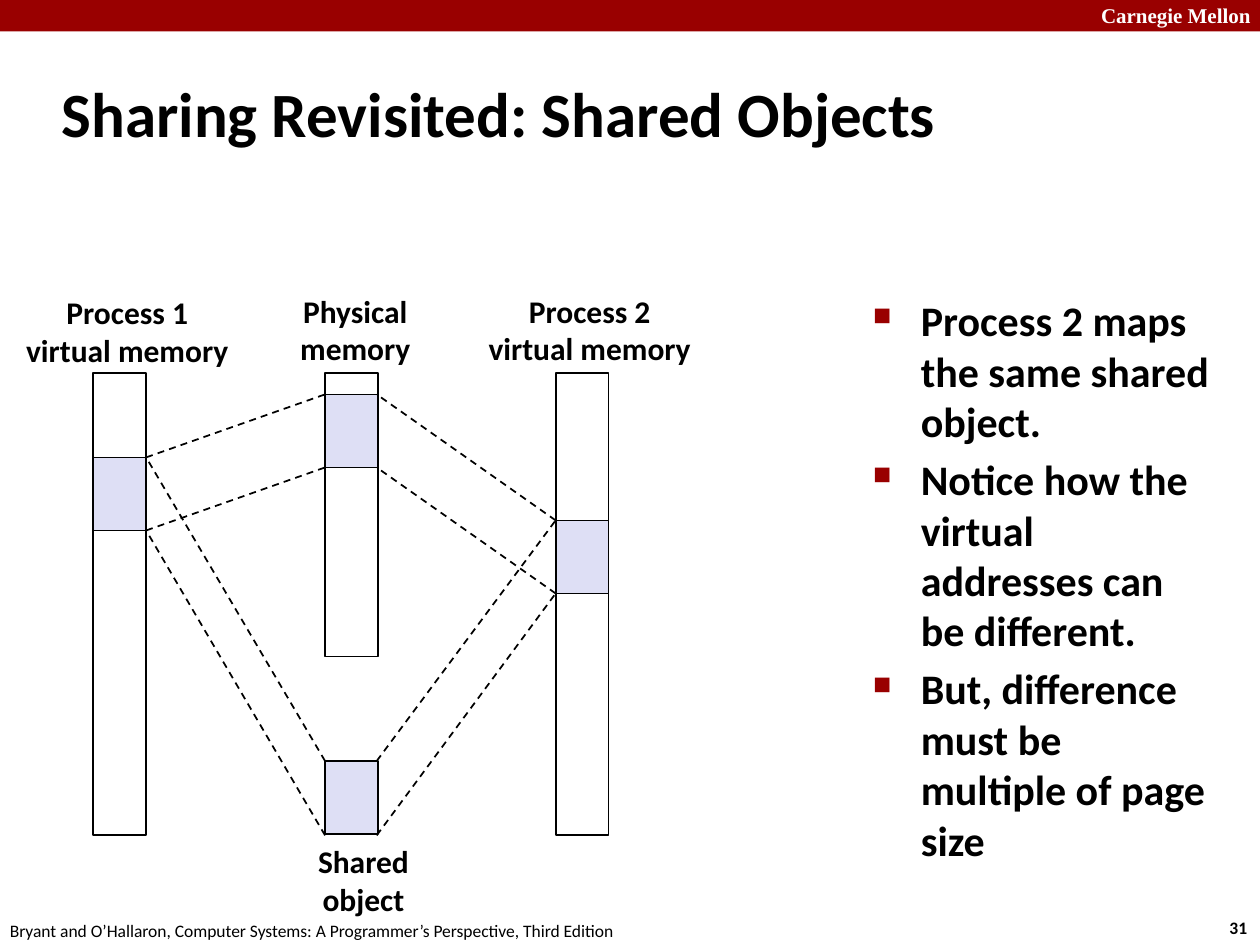
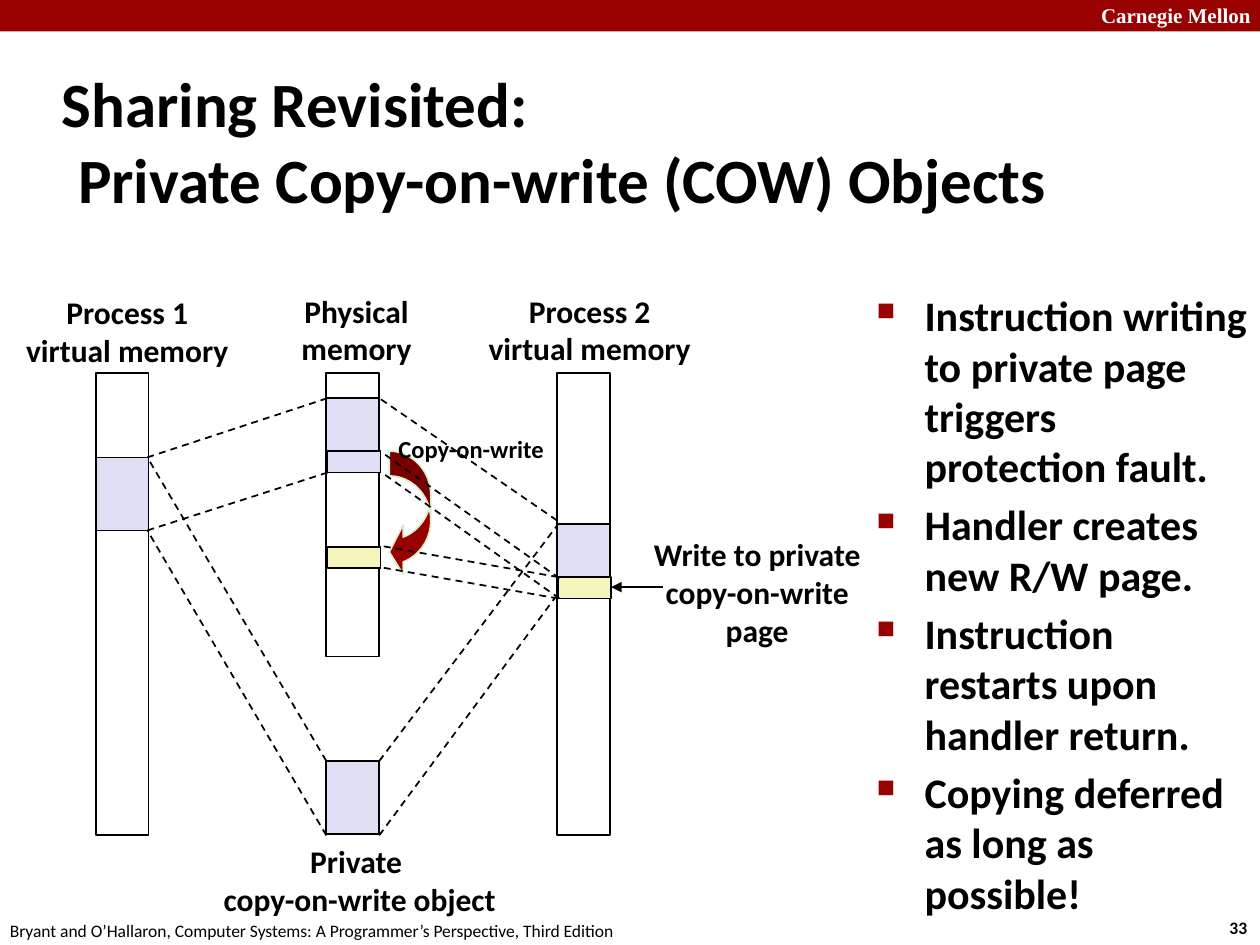
from lxml.etree import SubElement
from pptx import Presentation
from pptx.dml.color import RGBColor
from pptx.enum.dml import MSO_LINE
from pptx.enum.shapes import MSO_CONNECTOR, MSO_SHAPE
from pptx.enum.text import MSO_ANCHOR, MSO_AUTO_SIZE, PP_ALIGN
from pptx.oxml.ns import qn
from pptx.util import Pt

PX = 9144  # 100 px to the inch
RED = RGBColor(0x99, 0x00, 0x00)
BLACK = RGBColor(0x00, 0x00, 0x00)
WHITE = RGBColor(0xFF, 0xFF, 0xFF)
LILAC = RGBColor(0xDE, 0xDF, 0xF5)
CREAM = RGBColor(0xF6, 0xF5, 0xBD)
MINT = RGBColor(0xD5, 0xF1, 0xCF)

# Text formats
HEAD = dict(name="Calibri", size=Pt(36), bold=True)
BODY = dict(name="Calibri", size=Pt(24), bold=True)
LABEL = dict(name="Calibri", size=Pt(18), bold=True)
SMALL = dict(name="Calibri", size=Pt(14), bold=True)
PAGE = dict(name="Calibri", size=Pt(10), bold=True)
FOOT = dict(name="Calibri", size=Pt(10), bold=False)
BRAND = dict(name="Times New Roman", size=Pt(12), bold=True)

# Bar geometry shared by both diagrams
WIDE, TOP, TALL, SHORT, CELL, STRIP = 42, 296, 367, 225, 58, 17
BASE = 604  # top of the shared or private object

SLIDES = [
    dict(
        page="31", title="Sharing Revisited: Shared Objects", deep=83,
        cols=(74, 258, 441), cells=(363, 313, 413),
        links=[
            (258, 116, [(604, 363), (663, 421)]),
            (299, 441, [(604, 413), (663, 471)]),
            (116, 258, [(363, 313), (421, 371)]),
            (441, 299, [(413, 313), (471, 371)]),
        ],
        labels=[
            (242, 663, 93, 71, ["Shared", "object"], LABEL),
            (228, 226, 108, 71, ["Physical", "memory"], LABEL),
        ],
        strips=[], arrows=[], bends=[],
        list=(683, 229, 290, 504),
        points=[
            "Process 2 maps the same shared object.",
            "Notice how the virtual addresses can be different.",
            "But, difference must be multiple of page size",
        ],
    ),
    dict(
        page="33", deep=127,
        title="Sharing Revisited:\nPrivate Copy-on-write (COW) Objects",
        cols=(76, 259, 442), cells=(363, 316, 416),
        links=[
            (259, 117, [(604, 363), (663, 421)]),
            (301, 443, [(604, 416), (663, 471)]),
            (117, 260, [(363, 316), (421, 375)]),
            (442, 301, [(413, 316)]),
            (444, 303, [(459, 359), (475, 375)]),
            (443, 301, [(458, 433), (475, 450)]),
        ],
        labels=[
            (167, 663, 237, 71, ["Private ", "copy-on-write object"], LABEL),
            (229, 226, 108, 71, ["Physical", "memory"], LABEL),
            (306, 339, 136, 34, ["Copy-on-write"], SMALL),
            (508, 419, 186, 101,
             ["Write to private", "copy-on-write", "page"], LABEL),
        ],
        strips=[(260, 358, LILAC), (443, 458, CREAM), (260, 434, CREAM)],
        arrows=[(526, 485, [(466, 466)])],
        bends=[(309, 358, 33, 100)],
        list=(686, 225, 314, 493),
        points=[
            "Instruction writing to private page triggers protection fault.",
            "Handler creates new R/W page.",
            "Instruction restarts upon handler return.",
            "Copying deferred as long as possible!",
        ],
    ),
]
BOTH = [
    (10, 227, 182, 71, ["Process 1", "virtual memory"], LABEL),
    (377, 226, 182, 71, ["Process 2", "virtual memory"], LABEL),
]


def write(shape, lines, form, color=BLACK, align=PP_ALIGN.LEFT):
    """Fill a shape's text frame, one paragraph a line."""
    frame = shape.text_frame
    frame.auto_size = MSO_AUTO_SIZE.NONE
    frame.word_wrap = align == PP_ALIGN.LEFT
    for i, line in enumerate(lines):
        para = frame.add_paragraph() if i else frame.paragraphs[0]
        para.text = line
        para.alignment = align
        for run in para.runs:
            for key, val in form.items():
                setattr(run.font, key, val)
            run.font.color.rgb = color
    return frame


def draw(shapes, kind, area, fill=None, edge=None):
    """Add a preset shape with a plain fill and a thin edge."""
    shape = shapes.add_shape(kind, *[n * PX for n in area])
    shape.shadow.inherit = False
    if fill is None:
        shape.fill.background()
    else:
        shape.fill.solid()
        shape.fill.fore_color.rgb = fill
    if edge is None:
        shape.line.fill.background()
    else:
        shape.line.color.rgb = edge
        shape.line.width = Pt(1)
    return shape


deck = Presentation()
deck.slide_width, deck.slide_height = 1000 * PX, 750 * PX

for data in SLIDES:
    slide = deck.slides.add_slide(deck.slide_layouts[5])
    shapes = slide.shapes

    # Band, page number and footer
    draw(shapes, MSO_SHAPE.RECTANGLE, (0, 0, 1000, 25), RED)
    for area, words, form, color in [
        ((864, -3, 143, 30), "Carnegie Mellon", BRAND, WHITE),
        ((966, 723, 37, 27), data["page"], PAGE, BLACK),
        ((-2, 725, 508, 27), "Bryant and O’Hallaron, Computer Systems: "
         "A Programmer’s Perspective, Third Edition", FOOT, BLACK),
    ]:
        write(shapes.add_textbox(*[n * PX for n in area]), [words], form, color)

    # Title
    title = shapes.title
    spot = dict(left=39, top=48, width=830, height=data["deep"])
    for key, val in spot.items():
        setattr(title, key, val * PX)
    frame = write(title, [data["title"]], HEAD)
    frame.vertical_anchor = MSO_ANCHOR.MIDDLE
    props = frame.paragraphs[0]._p.get_or_add_pPr()
    props.set("marL", str(13 * PX))
    props.set("indent", str(-13 * PX))

    # Memory bars, then the mapped areas on them
    cols, cells = data["cols"], data["cells"]
    for x, high in zip(cols, (TALL, SHORT, TALL)):
        draw(shapes, MSO_SHAPE.RECTANGLE, (x, TOP, WIDE, high), edge=BLACK)
    for x, y in [*zip(cols, cells), (cols[1], BASE)]:
        draw(shapes, MSO_SHAPE.RECTANGLE, (x, y, WIDE, CELL), LILAC, BLACK)

    # Copied pages and the bent arrow
    for area in data["bends"]:
        bend = draw(shapes, MSO_SHAPE.CURVED_LEFT_ARROW, area, RED, MINT)
        for i, val in enumerate((0.6, 1.2, 0.333)):
            bend.adjustments[i] = val
    for x, y, fill in data["strips"]:
        draw(shapes, MSO_SHAPE.RECTANGLE, (x, y, WIDE, STRIP), fill, BLACK)

    # Dashed mapping lines and the solid arrow
    for link in data["links"] + data["arrows"]:
        start, end, pairs = link
        for y1, y2 in pairs:
            wire = shapes.add_connector(
                MSO_CONNECTOR.STRAIGHT, start * PX, y1 * PX, end * PX, y2 * PX)
            wire.line.color.rgb = BLACK
            wire.line.width = Pt(1)
            if link in data["arrows"]:
                SubElement(wire.line._get_or_add_ln(), qn("a:tailEnd"),
                           type="triangle")
            else:
                wire.line.dash_style = MSO_LINE.DASH
            SubElement(wire._element.spPr, qn("a:effectLst"))

    # Labels
    for *area, lines, form in data["labels"] + BOTH:
        label = shapes.add_textbox(*[n * PX for n in area])
        frame = write(label, lines, form, align=PP_ALIGN.CENTER)
        frame.vertical_anchor = MSO_ANCHOR.MIDDLE

    # Bullet list
    notes = shapes.add_textbox(*[n * PX for n in data["list"]])
    frame = write(notes, data["points"], BODY)
    for i, para in enumerate(frame.paragraphs):
        props = para._p.get_or_add_pPr()
        props.set("marL", str(38 * PX))
        props.set("indent", str(-38 * PX))
        tint = SubElement(props, qn("a:buClr"))
        SubElement(tint, qn("a:srgbClr"), val=str(RED))
        SubElement(props, qn("a:buSzPct"), val="60000")
        SubElement(props, qn("a:buChar"), char="■")
        if i:
            para.space_before = Pt(4.4)

deck.save("out.pptx")
